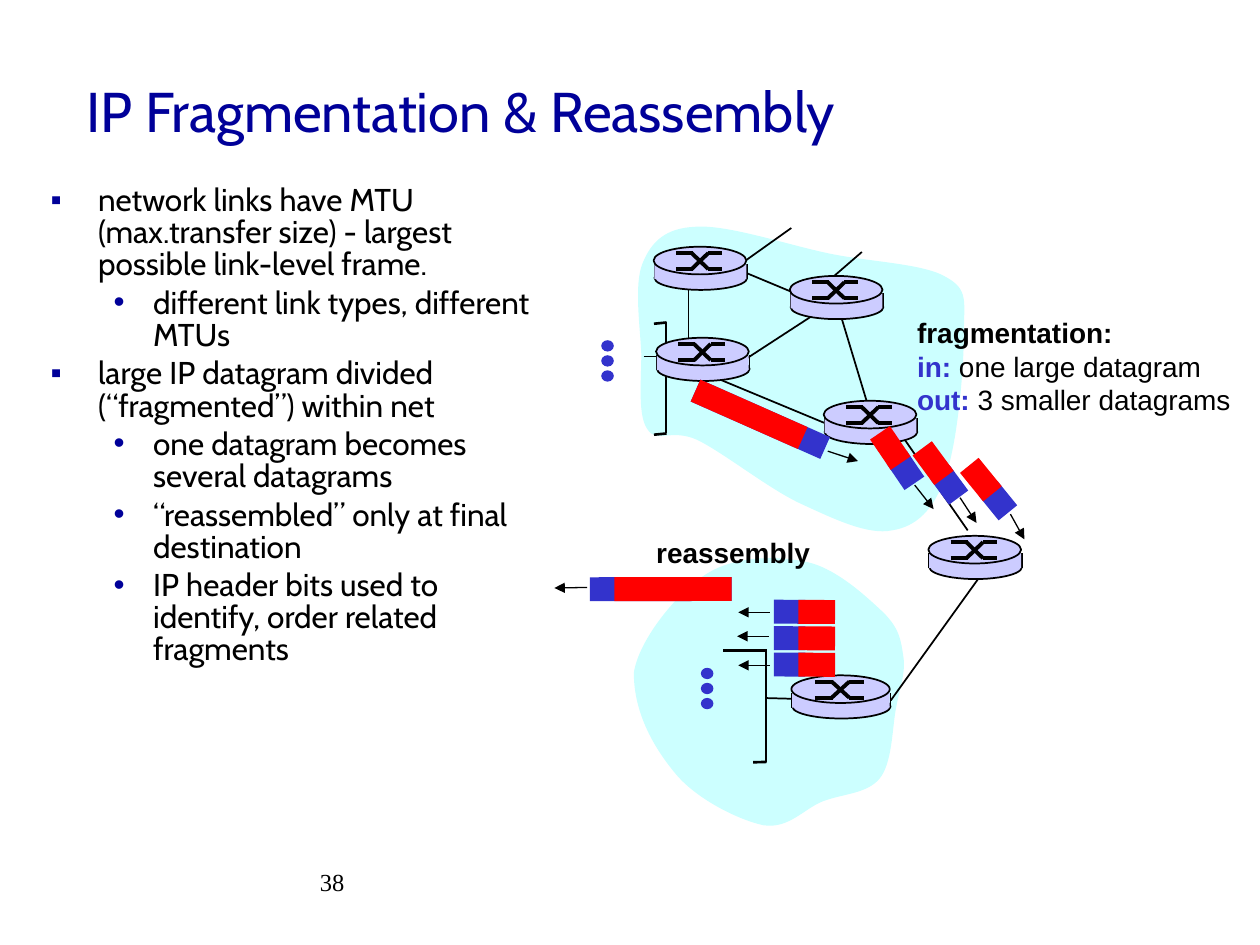
"""Build the slide on IP fragmentation and reassembly."""
from math import cos, radians, sin
from typing import Any, NamedTuple

from lxml.etree import SubElement
from pptx import Presentation
from pptx.dml.color import RGBColor
from pptx.enum.shapes import MSO_CONNECTOR, MSO_SHAPE
from pptx.enum.text import MSO_ANCHOR, PP_ALIGN
from pptx.oxml.ns import qn
from pptx.util import Pt

LINE = MSO_CONNECTOR.STRAIGHT
OVAL, RECT = MSO_SHAPE.OVAL, MSO_SHAPE.RECTANGLE
LEFT, RIGHT = PP_ALIGN.LEFT, PP_ALIGN.RIGHT
MIDDLE = MSO_ANCHOR.MIDDLE
HEX = {"navy": "000099", "ink": "000000", "cloud": "CCFFFF",
       "node": "CCCCFF", "head": "3333CC", "data": "FF0000"}


class Router(NamedTuple):
    x: float
    y: float
    w: float = 53


class Packet(NamedTuple):
    x: float
    y: float
    angle: float
    total: float = 35
    head: float = 18
    data: float = 21


class Link(NamedTuple):
    x1: float
    y1: float
    x2: float
    y2: float
    width: float = 1


class Item(NamedTuple):
    level: int
    text: str


class Style(NamedTuple):
    font: str
    size: float
    color: str = "ink"
    bold: bool = False


ITEMS = [
    Item(0, "network links have MTU (max.transfer size) - largest possible link-level frame."),
    Item(1, "different link types, different MTUs"),
    Item(0, "large IP datagram divided (“fragmented”) within net"),
    Item(1, "one datagram becomes several datagrams"),
    Item(1, "“reassembled” only at final destination"),
    Item(1, "IP header bits used to identify, order related fragments"),
]
BULLETS = [("▪", 27, -27), ("•", 58.5, -22.5)]
CLOUDS = [
    [(397.4, 129.6), (380.2, 130.3), (372.2, 138.2), (367.2, 150.5),
     (362.2, 162.7), (365.8, 186.5), (366.5, 202.3), (366.5, 218.2),
     (364.3, 237.6), (370.1, 245.5), (375.1, 253.4), (383.8, 244.8),
     (398.2, 251.3), (413.3, 258.5), (439.2, 279.4), (457.9, 288),
     (476.6, 296.6), (496.1, 306), (509.8, 303.1), (523.4, 301),
     (533.5, 291.6), (540, 272.9), (547.2, 254.2), (550.8, 210.2),
     (550.8, 191.5), (550.8, 172.1), (553.7, 165.6), (540.7, 158.4),
     (527.8, 150.5), (496.8, 149.8), (473, 144.7), (449.3, 139.7),
     (415.4, 128.2), (397.4, 129.6)],
    [(362.2, 384.5), (365, 365.8), (386.6, 339.1), (403.2, 328.3),
     (419.8, 317.5), (444.2, 317.5), (460.8, 321.1), (478.1, 324.7),
     (495.4, 341.3), (504.7, 349.9), (514.1, 359.3), (514.8, 365.8),
     (516.2, 375.1), (517.7, 384.5), (514.1, 393.1), (511.9, 405.4),
     (509.8, 416.9), (509.8, 436.3), (502.6, 445), (495.4, 453.6),
     (481.7, 453.6), (470.2, 457.9), (459.4, 462.2), (450.7, 473.8),
     (436.3, 471.6), (422.6, 468.7), (398.9, 457.2), (386.6, 442.8),
     (374.4, 428.4), (362.2, 408.2), (362.2, 384.5)],
]
LINKS = [
    Link(373.7, 185, 380.9, 184.3, 1.5), Link(373.7, 248.4, 380.9, 247.7, 1.5),
    Link(380.6, 184.3, 380.6, 247.7), Link(367.9, 203.8, 378, 203.8),
    Link(413.3, 150.5, 465.1, 172.1), Link(479.5, 177.1, 495.4, 229.7),
    Link(393.4, 159.1, 393.4, 205.2), Link(395.3, 210.2, 471.6, 241.9),
    Link(553, 303.1, 515.5, 249.1), Link(473.8, 174.2, 414, 213.1),
    Link(452.2, 130.3, 414.7, 157), Link(492.5, 144, 470.9, 162.7),
    Link(413.3, 371.8, 438.1, 371.8, 1.5), Link(430.4, 435.6, 438.1, 435.4, 1.5),
    Link(437.6, 371.5, 437.6, 435.6), Link(437.6, 398.9, 452.2, 399.3),
    Link(558.7, 331.2, 509, 400.3),
]
ARROWS = [
    Link(473, 257.8, 490.3, 263.5, 0.75), Link(522.7, 277.2, 533.5, 290.9, 0.75),
    Link(548.6, 284.4, 558, 298.8, 0.75), Link(577.4, 293.8, 585.4, 308.2, 0.75),
    Link(439.9, 349.9, 421.9, 349.9, 0.75), Link(439.2, 363.6, 421.2, 363.6, 0.75),
    Link(439.9, 380.2, 421.9, 380.2, 0.75), Link(335.5, 335.7, 316.8, 336, 0.75),
]
ROUTERS = [Router(373.5, 141), Router(374.9, 193), Router(451.3, 157.7),
           Router(470.7, 229), Router(452.2, 385.9, 56.2), Router(530.5, 306.2)]
PACKETS = [
    Packet(434.5, 239.6, 23.9, 81, 81, 67), Packet(512.7, 261.8, 55.8),
    Packet(537.4, 270.3, 53.6), Packet(564.9, 279.5, 50.9),
    *[Packet(459.7, 349.6 + 15.1 * i, 180.4) for i in range(3)],
    Packet(377.6, 336.6, 179.9, 81, 81, 67),
]


def paint(shape: Any, fill: str, edge: bool = False) -> None:
    shape.shadow.inherit = False
    shape.fill.solid()
    shape.fill.fore_color.rgb = RGBColor.from_string(HEX[fill])
    if edge:
        shape.line.color.rgb = RGBColor.from_string(HEX["ink"])
        shape.line.width = Pt(1)
    else:
        shape.line.fill.background()


def block(shapes: Any, kind: Any, box: tuple, fill: str, edge: bool = False) -> Any:
    shape = shapes.add_shape(kind, *map(Pt, box))
    paint(shape, fill, edge)
    return shape


def draw_link(shapes: Any, link: Link, arrow: bool = False) -> None:
    line = shapes.add_connector(LINE, *map(Pt, link[:4]))
    line.line.color.rgb = RGBColor.from_string(HEX["ink"])
    line.line.width = Pt(link.width)
    props = line._element.spPr
    if arrow:
        SubElement(props.find(qn("a:ln")), qn("a:tailEnd"), type="triangle")
    SubElement(props, qn("a:effectLst"))


def draw_cloud(shapes: Any, pts: list) -> None:
    pen = shapes.build_freeform(*map(Pt, pts[0]))
    pen.add_line_segments([tuple(map(Pt, pt)) for pt in pts[1:]], close=True)
    shape = pen.convert_to_shape()
    paint(shape, "cloud")
    sides = list(shape._element.iter(qn("a:lnTo")))
    for i in range(0, len(pts) - 1, 3):
        curve = SubElement(sides[i].getparent(), qn("a:cubicBezTo"))
        sides[i].addprevious(curve)
        for side in sides[i:i + 3]:
            curve.append(side[0])
            side.getparent().remove(side)


def draw_router(shapes: Any, node: Router) -> None:
    x, y, w = node
    parts = shapes.add_group_shape().shapes
    block(parts, OVAL, (x + 0.5, y + 11, w, 13.7), "node", True)
    for side in (x + 0.5, x + w + 0.4):
        draw_link(parts, Link(side, y + 10, side, y + 18.5))
    block(parts, RECT, (x + 0.5, y + 10, w - 0.5, 8.5), "node")
    block(parts, OVAL, (x, y, w, 15.8), "node", True)
    a, b, c, d = (x + w * part for part in (0.24, 0.41, 0.59, 0.74))
    top, low = y + 3.6, y + 12.8
    for start, end in ((top, low), (low, top)):
        draw_link(parts, Link(a, start, b + 0.7, start, 2.25))
        draw_link(parts, Link(b, start, c, end, 2.25))
        draw_link(parts, Link(c, end, d, end, 2.25))


def draw_packet(shapes: Any, pack: Packet, high: float = 13.7) -> None:
    parts = shapes.add_group_shape().shapes
    turn = radians(pack.angle)
    for size, sign, fill in ((pack.head, 1, "head"), (pack.data, -1, "data")):
        shift = sign * (pack.total - size) / 2
        x, y = pack.x + shift * cos(turn), pack.y + shift * sin(turn)
        bar = block(parts, RECT, (x - size / 2, y - high / 2, size, high), fill)
        bar.rotation = pack.angle


def add_run(para: Any, text: str, style: Style) -> None:
    run = para.add_run()
    run.text = text
    run.font.name, run.font.size, run.font.bold = style.font, Pt(style.size), style.bold
    run.font.color.rgb = RGBColor.from_string(HEX[style.color])


def add_text(shapes: Any, box: tuple, rows: list, align: Any = LEFT, wrap: bool = True) -> Any:
    frame = shapes.add_textbox(*map(Pt, box)).text_frame
    frame.word_wrap = wrap
    for i, row in enumerate(rows):
        para = frame.add_paragraph() if i else frame.paragraphs[0]
        para.alignment = align
        for text, style in row:
            add_run(para, text, style)
    return frame


def add_list(shapes: Any) -> None:
    style = Style("Cabin", 18)
    frame = add_text(shapes, (21.9, 102.7, 300, 366), [[(item.text, style)] for item in ITEMS])
    for i, (item, para) in enumerate(zip(ITEMS, frame.paragraphs)):
        mark, left, hang = BULLETS[item.level]
        para.level = item.level
        para.line_spacing = 0.85
        para.space_before = Pt(3.6 if i else 0)
        props = para._p.get_or_add_pPr()
        props.set("marL", str(Pt(left)))
        props.set("indent", str(Pt(hang)))
        SubElement(SubElement(props, qn("a:buClr")), qn("a:srgbClr"), val=HEX["navy"])
        SubElement(props, qn("a:buFont"), typeface="Arial")
        SubElement(props, qn("a:buChar"), char=mark)


def main() -> None:
    deck = Presentation()
    deck.slide_width, deck.slide_height = Pt(720), Pt(540)
    slide = deck.slides.add_slide(deck.slide_layouts[5])
    shapes = slide.shapes
    title = shapes.title
    title.left, title.top, title.width, title.height = map(Pt, (42, 18, 612, 90))
    title.text_frame.vertical_anchor = MIDDLE
    para = title.text_frame.paragraphs[0]
    para.alignment = LEFT
    add_run(para, "IP Fragmentation & Reassembly", Style("Cabin", 32, "navy"))
    add_text(shapes, (54, 491.8, 149.8, 36), [[("38", Style("Times New Roman", 14))]], RIGHT)
    add_list(shapes)
    for cloud in CLOUDS:
        draw_cloud(shapes, cloud)
    for link in LINKS:
        draw_link(shapes, link)
    for x, y in ((343.6, 194.4), (400.5, 381.6)):
        for i in range(3):
            block(shapes, OVAL, (x, y + 8.6 * i, 7.2, 6.5), "head")
    for node in ROUTERS:
        draw_router(shapes, node)
    for pack in PACKETS:
        draw_packet(shapes, pack)
    for arrow in ARROWS:
        draw_link(shapes, arrow, True)
    plain, bold, blue = (Style("Arial", 16), Style("Arial", 16, bold=True),
                         Style("Arial", 16, "head", True))
    add_text(shapes, (517, 176.8, 194.4, 64.8), [
        [("fragmentation:", bold)],
        [("in: ", blue), ("one large datagram", plain)],
        [("out: ", blue), ("3 smaller datagrams", plain)]], wrap=False)
    add_text(shapes, (367.9, 302.4, 102.2, 26.6), [[("reassembly", bold)]], wrap=False)
    deck.save("out.pptx")


if __name__ == "__main__":
    main()
